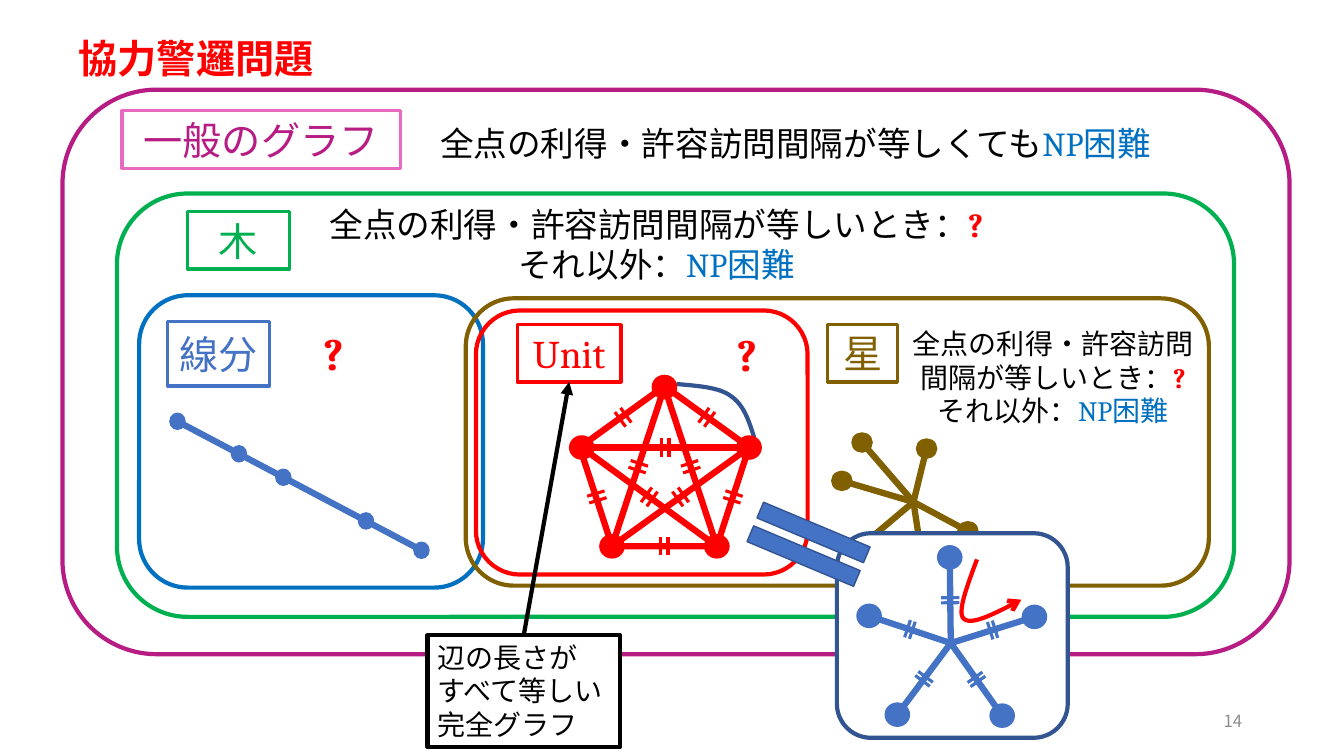
from itertools import combinations
from math import hypot

from lxml import etree
from pptx import Presentation
from pptx.dml.color import RGBColor
from pptx.enum.shapes import MSO_CONNECTOR, MSO_SHAPE
from pptx.enum.text import MSO_ANCHOR, MSO_AUTO_SIZE, PP_ALIGN
from pptx.oxml.ns import qn
from pptx.util import Inches, Pt

RECT, ROUND, OVAL = MSO_SHAPE.RECTANGLE, MSO_SHAPE.ROUNDED_RECTANGLE, MSO_SHAPE.OVAL
PENTAGON, EQUAL = MSO_SHAPE.REGULAR_PENTAGON, MSO_SHAPE.MATH_EQUAL
STRAIGHT = MSO_CONNECTOR.STRAIGHT
LEFT, CENTER, RIGHT = PP_ALIGN.LEFT, PP_ALIGN.CENTER, PP_ALIGN.RIGHT
TOP, MIDDLE = MSO_ANCHOR.TOP, MSO_ANCHOR.MIDDLE
NO_FIT = MSO_AUTO_SIZE.NONE


class Theme:
    japanese, latin = "Noto Sans CJK JP", "Cambria"
    black, white, gray = "000000", "FFFFFF", "8C8C8C"
    red, blue, navy, hard = "FF0000", "4472C4", "325491", "0070C0"
    purple, pink, green, brown = "B61C83", "E86ABE", "00B050", "806000"
    mark, heading, body, small, number = 32, 28, 24, 20, 12
    edge, frame, thin, hairline = 4.5, 3, 2.25, 1


# Content: a run is (text, colour, font, bold)
def japanese(text, color=Theme.black, bold=False):
    return text, color, Theme.japanese, bold


OPEN = ("?", Theme.red, Theme.latin, True)
NP_HARD = [("NP", Theme.hard, Theme.latin, False), japanese("困難", Theme.hard)]
TITLE = [[japanese("協力警邏問題", Theme.red, True)]]
GENERAL = [[japanese("全点の利得・許容訪問間隔が等しくても"), *NP_HARD]]
TREE = [[japanese("全点の利得・許容訪問間隔が等しいとき："), OPEN],
        [japanese("それ以外："), *NP_HARD]]
UNIT_NOTE = [[japanese(line)] for line in ("辺の長さが", "すべて等しい", "完全グラフ")]

# Nested classes: (left, top, width, height), frame colour
CLASSES = [
    ((1.38, 2.93, 3.41, 2.9), Theme.hard),
    ((0.62, 0.89, 12.17, 5.6), Theme.purple),
    ((1.16, 1.92, 11.08, 4.2), Theme.green),
    ((4.72, 3.08, 3.29, 2.62), Theme.red),
    ((4.62, 2.96, 7.37, 2.85), Theme.brown),
]
# Class names: box, border colour, run
NAMES = {
    "segment": ((1.66, 3.19, 1.01, 0.64), Theme.blue, japanese("線分", Theme.blue)),
    "general": ((1.21, 1.1, 2.76, 0.57), Theme.pink, japanese("一般のグラフ", Theme.purple)),
    "tree": ((1.86, 2.1, 1.01, 0.57), Theme.green, japanese("木", Theme.green)),
    "unit": ((5.13, 3.22, 1.03, 0.57), Theme.red, ("Unit", Theme.red, Theme.latin, False)),
    "star": ((8.21, 3.22, 0.69, 0.57), Theme.brown, japanese("星", Theme.brown)),
}
# Results: box, lines, size, alignment, wrap
RESULTS = [
    ((4.01, 1.17, 7.76, 0.5), GENERAL, Theme.body, CENTER, True),
    ((2.87, 1.97, 7.28, 0.91), TREE, Theme.body, CENTER, True),
    ((8.9, 3.19, 3.09, 1.11), TREE, Theme.small, CENTER, True),
    ((3.11, 3.18, 0.39, 0.64), [[OPEN]], Theme.mark, LEFT, False),
    ((7.21, 3.19, 0.39, 0.64), [[OPEN]], Theme.mark, LEFT, False),
]
# Graphs
SEGMENT_ENDS = (1.76, 4.18), (4.2, 5.47)
SEGMENT_STOPS = [1.76, 2.37, 2.81, 3.63, 4.18]
STAR_HUB = (9.06, 4.98)
STAR_TIPS = [(8.55, 4.39), (9.19, 4.45), (9.6, 5.27), (8.35, 4.77)]
STAR_HIDDEN_TIPS = [(9.16, 5.64), (8.55, 5.41)]
EQUAL_STAR_HUB = (9.43, 6.38)
EQUAL_STAR_TIPS = [(9.42, 5.53), (10.26, 6.12), (9.94, 7.1), (8.9, 7.09), (8.62, 6.11)]
PENTAGON_BOX = (5.75, 3.83, 1.68, 1.59)
UNIT_VERTICES = [(6.59, 3.84), (7.43, 4.44), (7.11, 5.42), (6.07, 5.42), (5.77, 4.44)]
TOUR = [(9.69, 5.55), (9.59, 5.82), (9.49, 6.08), (9.56, 6.14),
        (9.64, 6.21), (9.88, 6.08), (10.13, 5.95)]
DETOUR = [(6.71, 3.81), (6.92, 3.83), (7.13, 3.84), (7.25, 3.93),
          (7.38, 4.02), (7.43, 4.18), (7.48, 4.34)]

prs = Presentation()
prs.slide_width, prs.slide_height = Inches(13.33), Inches(7.5)
slide = prs.slides.add_slide(prs.slide_layouts[5])
shapes = slide.shapes


def rgb(color):
    return RGBColor.from_string(color)


def style_line(shape, color, width):
    shape.line.color.rgb, shape.line.width = rgb(color), Pt(width)


def write(shape, lines, size, align, anchor=TOP, wrap=True):
    frame = shape.text_frame
    frame.auto_size, frame.word_wrap, frame.vertical_anchor = NO_FIT, wrap, anchor
    for i, runs in enumerate(lines):
        paragraph = frame.add_paragraph() if i else frame.paragraphs[0]
        paragraph.alignment = align
        paragraph.font.size = Pt(size)
        for text, color, face, bold in runs:
            run = paragraph.add_run()
            run.text = text
            font = paragraph.font if len(runs) == 1 else run.font
            font.name, font.bold, font.color.rgb = face, bold, rgb(color)
    for latin in list(frame._txBody.iter(qn("a:latin"))):
        east_asian = etree.Element(qn("a:ea"), typeface=latin.get("typeface"))
        latin.addnext(east_asian)


def add_text(box, *text, **options):
    write(shapes.add_textbox(*map(Inches, box)), *text, **options)


def add_box(kind, box, line, width, fill=None):
    shape = shapes.add_shape(kind, *map(Inches, box))
    shape.shadow.inherit = False
    if fill:
        shape.fill.solid()
        shape.fill.fore_color.rgb = rgb(fill)
    else:
        shape.fill.background()
    style_line(shape, line, width)
    return shape


def add_dot(center, width, height, color):
    box = (center[0] - width / 2, center[1] - height / 2, width, height)
    add_box(OVAL, box, color, Theme.hairline, color)


def add_edge(start, end, color, width=Theme.edge):
    edge = shapes.add_connector(STRAIGHT, *map(Inches, start + end))
    style_line(edge, color, width)
    etree.SubElement(edge._element.spPr, qn("a:effectLst"))
    return edge


def add_arrowhead(shape, kind):
    etree.SubElement(shape.line._get_or_add_ln(), qn("a:tailEnd"), type=kind)


def add_equal_ticks(start, end, color, gap, length=0.18):
    """Two short strokes across the middle of an edge."""
    dx, dy = end[0] - start[0], end[1] - start[1]
    ux, uy = dx / hypot(dx, dy), dy / hypot(dx, dy)
    for shift in (-gap / 2, gap / 2):
        x = (start[0] + end[0]) / 2 + shift * ux
        y = (start[1] + end[1]) / 2 + shift * uy
        half_x, half_y = -uy * length / 2, ux * length / 2
        add_edge((x - half_x, y - half_y), (x + half_x, y + half_y), color, Theme.thin)


def add_curve(controls, color, steps=16):
    """A chain of cubic curves, drawn as short chords."""
    points = []
    for i in range(0, len(controls) - 1, 3):
        a, b, c, d = controls[i:i + 4]
        for t in (step / steps for step in range(1, steps + 1)):
            weights = ((1 - t) ** 3, 3 * t * (1 - t) ** 2, 3 * t * t * (1 - t), t ** 3)
            points.append([Inches(sum(w * p[k] for w, p in zip(weights, (a, b, c, d))))
                           for k in (0, 1)])
    builder = shapes.build_freeform(*map(Inches, controls[0]))
    builder.add_line_segments(points, close=False)
    curve = builder.convert_to_shape()
    curve.shadow.inherit = False
    curve.fill.background()
    style_line(curve, color, Theme.frame)
    return curve


# Title
title = shapes.title
title.left, title.top, title.width, title.height = map(Inches, (0.68, 0.29, 2.56, 0.57))
write(title, TITLE, Theme.heading, LEFT, wrap=False)

# Nested classes, their names and results
for box, color in CLASSES:
    add_box(ROUND, box, color, Theme.frame)
name_boxes = {}
for key, (box, color, run) in NAMES.items():
    name_boxes[key] = add_box(RECT, box, color, Theme.thin)
    write(name_boxes[key], [[run]], Theme.heading, CENTER, MIDDLE)
for box, lines, size, align, wrap in RESULTS:
    add_text(box, lines, size, align, wrap=wrap)

# Segment graph
(x0, y0), (x1, y1) = SEGMENT_ENDS
add_edge(*SEGMENT_ENDS, Theme.blue)
for x in SEGMENT_STOPS:
    add_dot((x, y0 + (x - x0) * (y1 - y0) / (x1 - x0)), 0.15, 0.16, Theme.blue)

# Note on unit graphs
note = add_box(RECT, (4.24, 6.3, 1.91, 1.11), Theme.black, Theme.frame, Theme.white)
write(note, UNIT_NOTE, Theme.small, LEFT)
pointer = add_edge((5.2, 6.3), (5.64, 3.79), Theme.black, Theme.frame)
pointer.begin_connect(note, 0)
pointer.end_connect(name_boxes["unit"], 2)
add_arrowhead(pointer, "triangle")

# Star graph
for tip in STAR_TIPS + STAR_HIDDEN_TIPS:
    add_edge(STAR_HUB, tip, Theme.brown)
for tip in STAR_TIPS:
    add_dot(tip, 0.2, 0.19, Theme.brown)

# Star with equal edges, on its own card
add_box(ROUND, (8.3, 5.29, 2.29, 2.03), Theme.navy, Theme.frame, Theme.white)
for tip in EQUAL_STAR_TIPS:
    add_edge(EQUAL_STAR_HUB, tip, Theme.blue)
    add_dot(tip, 0.24, 0.23, Theme.blue)
    add_equal_ticks(EQUAL_STAR_HUB, tip, Theme.blue, 0.05)
add_arrowhead(add_curve(TOUR, Theme.red), "arrow")
equals = add_box(EQUAL, (7.24, 5.04, 1.56, 0.72), Theme.navy, Theme.hairline, Theme.blue)
equals.rotation = 22.8

# Complete graph with equal edges
add_curve(DETOUR, Theme.navy)
add_box(PENTAGON, PENTAGON_BOX, Theme.red, Theme.edge)
for i, j in combinations(range(5), 2):
    start, end = UNIT_VERTICES[i], UNIT_VERTICES[j]
    if j - i in (2, 3):
        add_edge(start, end, Theme.red)
    add_equal_ticks(start, end, Theme.red, 0.07)
for vertex in UNIT_VERTICES:
    add_dot(vertex, 0.24, 0.23, Theme.red)

# Slide number
add_text((9.42, 6.95, 3, 0.4), [[japanese("14", Theme.gray)]], Theme.number, RIGHT, anchor=MIDDLE)

prs.save("out.pptx")
